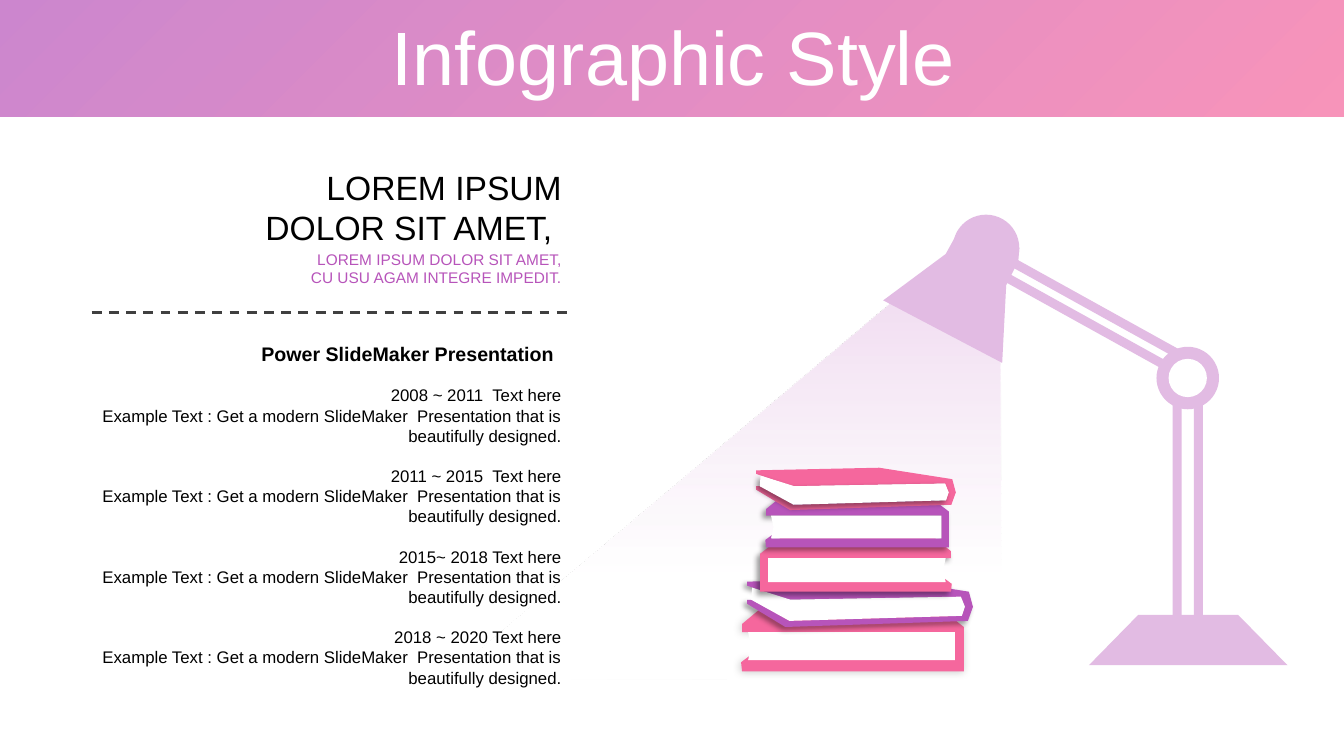
from dataclasses import dataclass
from typing import Optional

from pptx import Presentation, slide, util as u
from pptx.dml import color
from pptx.enum import dml, shapes, text
from pptx.oxml import ns
from lxml import etree

PX = 9144  # EMU in one px, 100 px to the inch
FONT = "Arial"

WHITE = color.RGBColor(0xFF, 0xFF, 0xFF)
BLACK = color.RGBColor(0, 0, 0)
PINK = color.RGBColor(0xF5, 0x67, 0x9D)
PURPLE = color.RGBColor(0xB7, 0x54, 0xBA)
LILAC = color.RGBColor(0xE2, 0xBB, 0xE3)
GLOW = color.RGBColor(0xF1, 0xDD, 0xF1)
GREY = color.RGBColor(0x40, 0x40, 0x40)

Frame = tuple[int, int, int, int]
Outline = list[tuple[int, int]]


@dataclass
class Part:
    kind: shapes.MSO_SHAPE
    frame: Frame
    turn: int = 0
    colour: color.RGBColor = LILAC


@dataclass
class Shadow:
    opacity: int
    blur: int
    distance: int


@dataclass
class BookForm:
    width: int
    height: int
    cover: Outline
    pages: Outline


@dataclass
class Book:
    form: BookForm
    frame: Frame
    colour: color.RGBColor
    cover_shadow: Optional[Shadow] = None
    pages_shadow: Optional[Shadow] = None
    mirrored: bool = False


@dataclass
class Writing:
    frame: Frame
    lines: list[str]
    size: int
    colour: color.RGBColor = BLACK
    bold: bool = False
    anchor: text.MSO_ANCHOR = text.MSO_ANCHOR.MIDDLE
    align: text.PP_ALIGN = text.PP_ALIGN.RIGHT
    spacing: float = 0  # 0 means 1.2 times the size
    group: int = 100  # lines in one group; a gap comes before the next
    side: int = 10


# Lamp
BAR = shapes.MSO_SHAPE.RECTANGLE
DISC = shapes.MSO_SHAPE.OVAL
ARMS = [Part(BAR, (left, top, 9, 237), 299) for left, top in ((1078, 185), (1070, 199))]
POSTS = [Part(BAR, (left, 375, 9, 237)) for left in (1184, 1163)]
JOINT = [Part(DISC, (1147, 344, 62, 62)), Part(DISC, (1159, 356, 38, 38), colour=WHITE)]
DOME = Part(DISC, (945, 213, 66, 66))
FOOT = Part(shapes.MSO_SHAPE.TRAPEZOID, (1080, 610, 197, 50))
LAMP_SHADE = [(949, 232), (938, 252), (876, 298), (994, 360), (998, 283), (1010, 259), (1011, 246)]
BEAM = [(991, 352), (993, 674), (443, 672), (895, 290)]

# Books, from the bottom of the pile upwards
FLAT = BookForm(
    221, 62,
    [(19, 0), (1, 15), (1, 23), (212, 23), (212, 51), (8, 51), (8, 47), (0, 53),
     (1, 62), (221, 62), (221, 18), (198, 0)],
    [(7, 23), (212, 23), (212, 51), (7, 51), (10, 37)])
TILTED = BookForm(
    224, 48,
    [(5, 21), (0, 21), (0, 25), (38, 48), (219, 42), (224, 28), (220, 13), (138, 0),
     (0, 3), (0, 7), (40, 21), (212, 18), (216, 28), (213, 37), (42, 42)],
    [(5, 9), (4, 21), (42, 42), (213, 37), (216, 28), (212, 18), (43, 21)])
SOFT = Shadow(20, 6, 1)
DEEP = Shadow(40, 4, 3)
BOOKS = [
    Book(FLAT, (735, 604, 221, 62), PINK, SOFT),
    Book(TILTED, (741, 574, 224, 48), PURPLE, DEEP),
    Book(FLAT, (754, 534, 190, 53), PINK, DEEP, mirrored=True),
    Book(FLAT, (759, 493, 182, 50), PURPLE, DEEP),
    Book(TILTED, (750, 464, 198, 42), PINK, pages_shadow=DEEP),
]

# Wording
PERIODS = ["2008 ~ 2011  Text here", "2011 ~ 2015  Text here",
           "2015~ 2018 Text here", "2018 ~ 2020 Text here"]
DETAIL = "Example Text : Get a modern SlideMaker  Presentation that is beautifully designed."
TITLE = Writing((35, 21, 1266, 79), ["Infographic Style"], 54, WHITE,
                align=text.PP_ALIGN.CENTER, spacing=0.9)
TIMELINE = Writing((82, 377, 485, 313), [part for period in PERIODS for part in (period, DETAIL)],
                   12, anchor=text.MSO_ANCHOR.TOP, group=2)
LABELS = [
    Writing((82, 334, 485, 34), ["Power SlideMaker Presentation "], 14, bold=True, side=12),
    Writing((212, 243, 355, 47), ["LOREM IPSUM DOLOR SIT AMET,", "CU USU AGAM INTEGRE IMPEDIT."],
            11, PURPLE),
    Writing((212, 160, 355, 91), ["LOREM IPSUM", "DOLOR SIT AMET, "], 24),
]


def add_node(parent, tag: str, **values):
    return etree.SubElement(parent, ns.qn(tag), {key: str(value) for key, value in values.items()})


def add_colour(parent, colour: color.RGBColor, opacity: int) -> None:
    node = add_node(parent, "a:srgbClr", val=colour)
    add_node(node, "a:alpha", val=opacity * 1000)


def paint(shape, colour: color.RGBColor, shadow: Optional[Shadow] = None) -> None:
    shape.fill.solid()
    shape.fill.fore_color.rgb = colour
    shape.line.fill.background()
    shape.shadow.inherit = False
    if shadow:
        effects = shape._element.spPr.find(ns.qn("a:effectLst"))
        outer = add_node(effects, "a:outerShdw", blurRad=u.Pt(shadow.blur),
                         dist=u.Pt(shadow.distance), dir=135 * 60000, algn="tr", rotWithShape=0)
        add_colour(outer, BLACK, shadow.opacity)


def shade(shape, stops: list[tuple[int, color.RGBColor, int]], angle: int) -> None:
    shape.fill.gradient()
    shape.fill.gradient_angle = 360 - angle
    stop_list = shape._element.spPr.find(".//" + ns.qn("a:gsLst"))
    for old_stop in list(stop_list):
        stop_list.remove(old_stop)
    for place, colour, opacity in stops:
        add_colour(add_node(stop_list, "a:gs", pos=place * 1000), colour, opacity)


def add_part(page: slide.Slide, part: Part):
    shape = page.shapes.add_shape(part.kind, *(value * PX for value in part.frame))
    shape.rotation = part.turn
    paint(shape, part.colour)
    return shape


def add_outline(page: slide.Slide, outline: list[tuple[float, float]],
                colour: color.RGBColor, shadow: Optional[Shadow] = None):
    corners = [(round(x * PX), round(y * PX)) for x, y in outline]
    builder = page.shapes.build_freeform(*corners[0], scale=1.0)
    builder.add_line_segments(corners[1:], close=True)
    shape = builder.convert_to_shape()
    paint(shape, colour, shadow)
    return shape


def add_book(page: slide.Slide, book: Book) -> None:
    left, top, width, height = book.frame
    form = book.form

    def fit(outline: Outline) -> list[tuple[float, float]]:
        return [(left + (form.width - x if book.mirrored else x) * width / form.width,
                 top + y * height / form.height) for x, y in outline]

    add_outline(page, fit(form.cover), book.colour, book.cover_shadow)
    add_outline(page, fit(form.pages), WHITE, book.pages_shadow)


def write(box, writing: Writing) -> None:
    box.left, box.top, box.width, box.height = (value * PX for value in writing.frame)
    frame = box.text_frame
    frame.word_wrap = True
    frame.auto_size = text.MSO_AUTO_SIZE.NONE
    frame.vertical_anchor = writing.anchor
    frame.margin_left = frame.margin_right = writing.side * PX
    frame.margin_top = frame.margin_bottom = 5 * PX
    line_height = u.Pt(writing.size * 1.2)
    for index, words in enumerate(writing.lines):
        para = frame.add_paragraph() if index else frame.paragraphs[0]
        properties = para._p.get_or_add_pPr()
        properties.set("marL", "0")
        properties.set("indent", "0")
        add_node(properties, "a:buNone")
        para.alignment = writing.align
        para.line_spacing = writing.spacing or line_height
        para.space_before = line_height if index and index % writing.group == 0 else u.Pt(0)
        span = para.add_run()
        span.text = words
        span.font.name, span.font.size = FONT, u.Pt(writing.size)
        span.font.bold = writing.bold
        span.font.color.rgb = writing.colour


def main() -> None:
    deck = Presentation()
    deck.slide_width, deck.slide_height = 1333 * PX, 750 * PX
    page = deck.slides.add_slide(deck.slide_layouts[1])
    title, timeline = page.placeholders

    # Header band
    header = add_part(page, Part(BAR, (0, 0, 1333, 116)))
    shade(header, [(0, PINK, 70), (100, PURPLE, 70)], 225)

    # Lamp and its light
    beam = add_outline(page, BEAM, WHITE)
    shade(beam, [(0, WHITE, 20), (27, WHITE, 80), (100, GLOW, 100)], 270)
    for part in ARMS + POSTS + JOINT + [DOME]:
        add_part(page, part)
    add_outline(page, LAMP_SHADE, LILAC)
    add_part(page, FOOT).adjustments[0] = 0.98

    # Pile of books
    for book in BOOKS:
        add_book(page, book)

    # Dashed rule
    rule = page.shapes.add_connector(shapes.MSO_CONNECTOR.STRAIGHT,
                                     91 * PX, 310 * PX, 566 * PX, 310 * PX)
    rule.line.color.rgb = GREY
    rule.line.width = u.Pt(1.75)
    rule.line.dash_style = dml.MSO_LINE.DASH
    add_node(rule._element.spPr, "a:effectLst")

    # Text, with the placeholders brought in front of the drawing
    for box, writing in ((title, TITLE), (timeline, TIMELINE)):
        page.shapes._spTree.append(box._element)
        write(box, writing)
    for label in LABELS:
        write(page.shapes.add_textbox(0, 0, PX, PX), label)

    deck.save("out.pptx")


if __name__ == "__main__":
    main()
